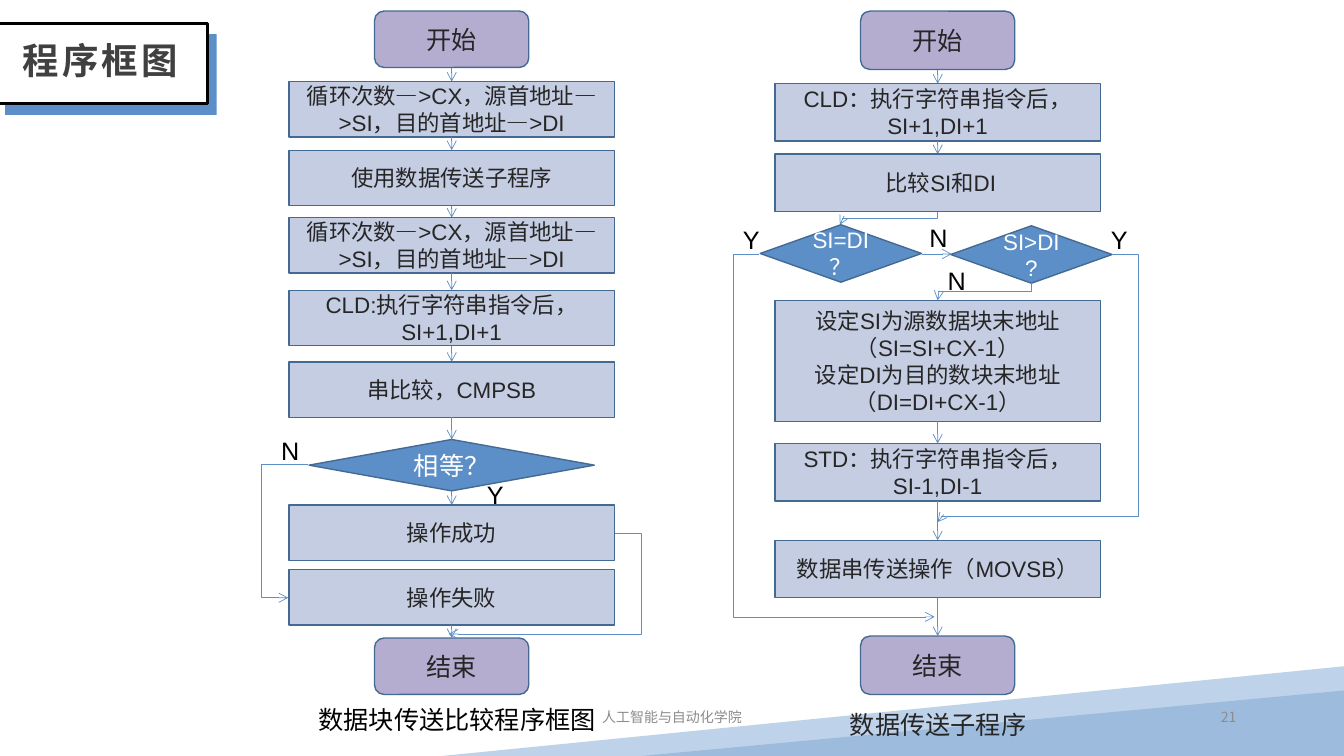
from dataclasses import dataclass

from lxml.etree import SubElement
from pptx import Presentation
from pptx.dml.color import RGBColor
from pptx.enum.shapes import MSO_CONNECTOR as LINK, MSO_SHAPE as SHAPE
from pptx.enum.text import MSO_ANCHOR as ANCHOR, PP_ALIGN as ALIGN
from pptx.oxml.ns import qn
from pptx.util import Inches, Pt


@dataclass(frozen=True)
class Theme:
    blue: str = "5C8FC7"
    outline: str = "446A93"
    step: str = "C5CDE3"
    terminal: str = "B5ADD0"
    pale_band: str = "BED2E9"
    deep_band: str = "9DBCDD"
    white: str = "FFFFFF"
    black: str = "000000"
    title: str = "404040"
    ink: str = "262626"
    muted: str = "8C8C8C"
    latin: str = "Arial"
    chinese: str = "Noto Sans CJK SC"
    title_size: int = 26
    large: int = 18
    body: int = 16
    small: int = 10


theme = Theme()
deck = Presentation()
deck.slide_width, deck.slide_height = Inches(13.33), Inches(7.5)
page = deck.slides.add_slide(deck.slide_layouts[6])


def write(box, text, size, color, align=ALIGN.LEFT, font=theme.latin, anchor=ANCHOR.TOP):
    """Fill a shape with text and style every run."""
    frame = box.text_frame
    frame.text = text
    frame.word_wrap = True
    frame.vertical_anchor = anchor
    for para in frame.paragraphs:
        para.alignment = align
        for span in para.runs:
            span.font.size, span.font.name = Pt(size), font
            span.font.color.rgb = RGBColor.from_string(color)
            SubElement(span.font._element, qn("a:ea"), typeface=theme.chinese)


def connect(start, end, bends=(), vertical=False):
    """Draw an arrow; bends are elbow adjustments, vertical makes the elbow leave downwards."""
    if vertical:
        # A quarter turn about the centre swaps the width and the height.
        middle_x, middle_y = (start[0] + end[0]) / 2, (start[1] + end[1]) / 2
        half_w, half_h = abs(end[1] - start[1]) / 2, abs(end[0] - start[0]) / 2
        start, end = (middle_x - half_w, middle_y - half_h), (middle_x + half_w, middle_y + half_h)
    arrow = page.shapes.add_connector(
        LINK.ELBOW if bends else LINK.STRAIGHT, *map(Inches, (*start, *end)))
    arrow.line.color.rgb = RGBColor.from_string(theme.blue)
    arrow.line.width = Pt(0.5)
    properties = arrow._element.spPr
    SubElement(properties.find(qn("a:ln")), qn("a:tailEnd"), type="arrow")
    SubElement(properties, qn("a:effectLst"))
    if vertical:
        properties.find(qn("a:xfrm")).set("rot", "5400000")
    if bends:
        geometry = properties.find(qn("a:prstGeom"))
        geometry.set("prst", f"bentConnector{len(bends) + 2}")
        guides = geometry.find(qn("a:avLst"))
        for number, bend in enumerate(bends, 1):
            SubElement(guides, qn("a:gd"), name=f"adj{number}", fmla=f"val {round(bend * 100000)}")


# Corner bands
outline = page.shapes.build_freeform(Inches(13.33), Inches(6.61))
outline.add_line_segments([(Inches(x), Inches(y)) for x, y in ((13.33, 7.44), (8.97, 7.5), (4.38, 7.5))])
pale_band = outline.convert_to_shape()
deep_band = page.shapes.add_shape(
    SHAPE.ISOSCELES_TRIANGLE, Inches(6.36), Inches(6.85), Inches(6.97), Inches(0.65))
deep_band.adjustments[0] = 1

# Title plate with its offset backing
backing, plate = [
    page.shapes.add_shape(SHAPE.RECTANGLE, Inches(x), Inches(y), Inches(2.1), Inches(0.8))
    for x, y in ((0.05, 0.34), (-0.04, 0.23))]
for box, color in ((pale_band, theme.pale_band), (deep_band, theme.deep_band),
                   (backing, theme.blue), (plate, theme.white)):
    box.shadow.inherit = False
    box.fill.solid()
    box.fill.fore_color.rgb = RGBColor.from_string(color)
    box.line.fill.background()
plate.line.color.rgb = RGBColor.from_string(theme.black)
plate.line.width = Pt(2)

title = page.shapes.add_textbox(Inches(0.14), Inches(0.34), Inches(1.74), Inches(0.6))
write(title, "程序框图", theme.title_size, theme.title, font=theme.chinese)
title.text_frame.word_wrap = False
title.text_frame.margin_left = title.text_frame.margin_right = Inches(0.08)
title.text_frame.margin_top = title.text_frame.margin_bottom = Inches(0.04)
title_font = title.text_frame.paragraphs[0].runs[0].font
title_font.bold = True
title_font._element.set("spc", "250")

for text, left, width, align in (("人工智能与自动化学院", 4.5, 4.33, ALIGN.CENTER),
                                 ("21", 9.36, 3, ALIGN.RIGHT)):
    footer = page.shapes.add_textbox(Inches(left), Inches(6.94), Inches(width), Inches(0.35))
    write(footer, text, theme.small, theme.muted, align, theme.chinese, ANCHOR.MIDDLE)

# Flowchart nodes: kind -> preset, width, fill, text colour, text size
kinds = {
    "terminal": (SHAPE.ROUNDED_RECTANGLE, 1.53, theme.terminal, theme.ink, theme.large),
    "step": (SHAPE.RECTANGLE, 3.23, theme.step, theme.ink, theme.body),
    "equal": (SHAPE.DIAMOND, 2.83, theme.blue, theme.white, theme.large),
    "test": (SHAPE.DIAMOND, 1.6, theme.blue, theme.white, theme.body),
}
load_registers = "循环次数—>CX，源首地址—>SI，目的首地址—>DI"
left_axis, right_axis = 4.48, 9.3
# kind, top, height, text, whether a straight arrow leads to the next node
compare_flow = [
    ("terminal", 0.11, 0.56, "开始", True),
    ("step", 0.81, 0.55, load_registers, True),
    ("step", 1.49, 0.55, "使用数据传送子程序", True),
    ("step", 2.16, 0.55, load_registers, True),
    ("step", 2.88, 0.55, "CLD:执行字符串指令后，SI+1,DI+1", True),
    ("step", 3.59, 0.55, "串比较，CMPSB", True),
    ("equal", 4.36, 0.51, "相等？", True),
    ("step", 5.01, 0.55, "操作成功", False),
    ("step", 5.65, 0.55, "操作失败", True),
    ("terminal", 6.33, 0.56, "结束", False),
]
transfer_flow = [
    ("terminal", 0.11, 0.58, "开始", True),
    ("step", 0.83, 0.57, "CLD：执行字符串指令后，SI+1,DI+1", True),
    ("step", 1.53, 0.57, "比较SI和DI", False),
    ("step", 2.98, 1.2, "设定SI为源数据块末地址（SI=SI+CX-1）\n设定DI为目的数块末地址（DI=DI+CX-1）", True),
    ("step", 4.4, 0.57, "STD：执行字符串指令后，SI-1,DI-1", True),
    ("step", 5.36, 0.57, "数据串传送操作（MOVSB）", True),
    ("terminal", 6.31, 0.58, "结束", False),
]
flows = [
    (left_axis, compare_flow),
    (right_axis, transfer_flow),
    (8.34, [("test", 2.23, 0.57, "SI=DI？", False)]),
    (10.23, [("test", 2.24, 0.57, "SI>DI?", False)]),
]
for axis, nodes in flows:
    for index, (kind, top, height, text, linked) in enumerate(nodes):
        preset, width, fill, color, size = kinds[kind]
        node = page.shapes.add_shape(
            preset, Inches(axis - width / 2), Inches(top), Inches(width), Inches(height))
        node.shadow.inherit = False
        node.fill.solid()
        node.fill.fore_color.rgb = RGBColor.from_string(fill)
        node.line.color.rgb = RGBColor.from_string(theme.outline)
        node.line.width = Pt(1)
        write(node, text, size, color, ALIGN.CENTER, anchor=ANCHOR.MIDDLE)
        if text == "比较SI和DI":
            para = node.text_frame.paragraphs[0]
            para.alignment = ALIGN.LEFT
            para._p.get_or_add_pPr().set("marL", str(Inches(1)))
        if linked:
            connect((axis, top + height), (axis, nodes[index + 1][1]))

# Branches
connect((9.14, 2.52), (9.44, 2.52))
connect((right_axis, 2.1), (8.33, 2.23), [0.5], vertical=True)
connect((10.23, 2.81), (right_axis, 2.98), [0.5], vertical=True)
connect((6.1, 5.29), (4.45, 6.29), [-0.16])
connect((3.06, 4.61), (2.86, 5.93), [2.32])
connect((11.03, 2.52), (right_axis, 5.18), [-0.15, 0.98])
connect((7.53, 2.52), (9.27, 6.12), [-0.15, 1])

# Branch labels and captions
for text, left, top, width, color in (
        ("N", 2.69, 4.27, 0.4, theme.black), ("Y", 4.73, 4.71, 0.4, theme.black),
        ("Y", 7.27, 2.18, 0.4, theme.black), ("N", 9.12, 2.16, 0.54, theme.black),
        ("Y", 10.92, 2.18, 0.43, theme.black), ("N", 9.3, 2.58, 0.5, theme.black),
        ("数据块传送比较程序框图", 3.06, 6.94, 3.28, theme.black),
        ("数据传送子程序", 8.33, 6.99, 2.31, theme.ink)):
    label = page.shapes.add_textbox(Inches(left), Inches(top), Inches(width), Inches(0.4))
    write(label, text, theme.large, color)

deck.save("out.pptx")
